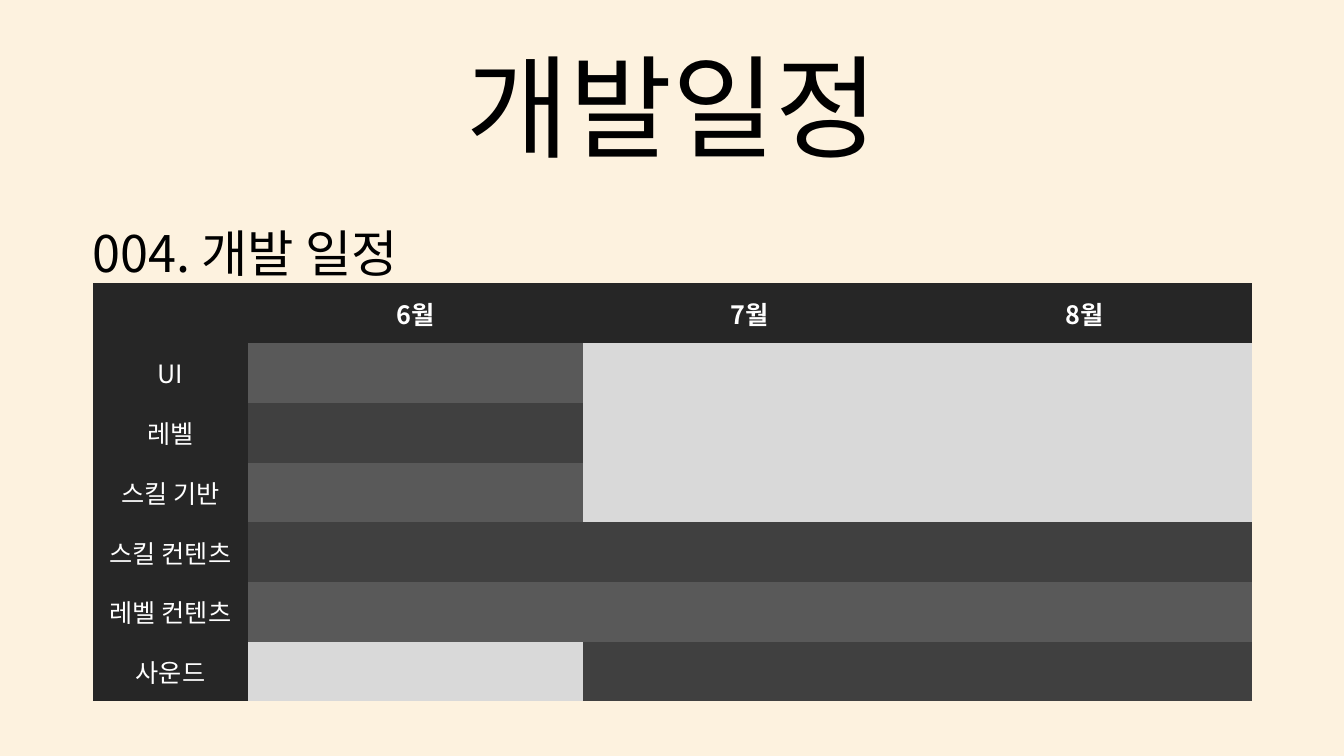
from dataclasses import dataclass

from lxml import etree
from pptx import Presentation
from pptx.dml.color import RGBColor
from pptx.enum.text import MSO_ANCHOR, MSO_AUTO_SIZE, PP_ALIGN
from pptx.oxml.ns import qn
from pptx.util import Cm, Pt

CENTER, LEFT = PP_ALIGN.CENTER, PP_ALIGN.LEFT
MIDDLE, TOP = MSO_ANCHOR.MIDDLE, MSO_ANCHOR.TOP
NO_AUTOFIT = MSO_AUTO_SIZE.NONE
PLAIN_TABLE_STYLE = "{2D5ABB26-0587-4C30-8999-92F81FD0307C}"

TITLE = "개발일정"
SECTION = "004. 개발 일정"
MONTHS = ["6월", "7월", "8월"]
# Task name, then whether work runs in each month
TASKS = [
    ("UI", (True, False, False)),
    ("레벨", (True, False, False)),
    ("스킬 기반", (True, False, False)),
    ("스킬 컨텐츠", (True, True, True)),
    ("레벨 컨텐츠", (True, True, True)),
    ("사운드", (False, True, True)),
]


@dataclass(frozen=True)
class Theme:
    font: str = "Noto Sans CJK SC"
    background: str = "FDF2DF"
    ink: str = "000000"
    label: str = "FFFFFF"
    header: str = "262626"
    idle: str = "D9D9D9"
    busy: tuple = ("595959", "404040")
    title_size: int = 80
    section_size: int = 36
    table_size: int = 18


THEME = Theme()
MARGIN, CONTENT_WIDTH = Cm(2.34), Cm(29.2)
TABLE_TOP, TABLE_HEIGHT = Cm(7.14), Cm(10.54)
TASK_WIDTH, MONTH_WIDTH = Cm(3.91), Cm(8.43)


def paint(fill, color):
    fill.solid()
    fill.fore_color.rgb = RGBColor.from_string(color)


def write(frame, text, size, color, align, spacing=1.0, bold=False):
    """Set one paragraph and use the theme font for Latin and Korean text."""
    frame.text = text
    para = frame.paragraphs[0]
    para.alignment = align
    para.line_spacing = spacing
    for span in para.runs:
        span.font.name = THEME.font
        span.font.size = Pt(size)
        span.font.bold = bold
        span.font.color.rgb = RGBColor.from_string(color)
        korean = etree.SubElement(span.font._element, qn("a:ea"))
        korean.set("typeface", THEME.font)


def add_title(page):
    title = page.shapes.title
    title.left, title.top = MARGIN, Cm(1.01)
    title.width, title.height = CONTENT_WIDTH, Cm(3.68)
    frame = title.text_frame
    frame.auto_size = NO_AUTOFIT
    frame.vertical_anchor = MIDDLE
    write(frame, TITLE, THEME.title_size, THEME.ink, CENTER, 0.9)


def add_section(page):
    box = page.shapes.add_textbox(Cm(2.08), Cm(4.7), Cm(29.72), Cm(4.17))
    frame = box.text_frame
    frame.word_wrap = True
    frame.vertical_anchor = TOP
    write(frame, SECTION, THEME.section_size, THEME.ink, LEFT, 1.5)


def add_schedule(page):
    rows, columns = len(TASKS) + 1, len(MONTHS) + 1
    frame = page.shapes.add_table(
        rows, columns, MARGIN, TABLE_TOP, CONTENT_WIDTH, TABLE_HEIGHT)
    table = frame.table
    table.first_row = table.horz_banding = False
    table._tbl.tblPr.find(qn("a:tableStyleId")).text = PLAIN_TABLE_STYLE
    for index, column in enumerate(table.columns):
        column.width = MONTH_WIDTH if index else TASK_WIDTH

    def set_label(row, column, text, bold=False):
        cell = table.cell(row, column)
        cell.vertical_anchor = MIDDLE
        paint(cell.fill, THEME.header)
        write(cell.text_frame, text, THEME.table_size, THEME.label, CENTER, bold=bold)

    for column, month in enumerate(["", *MONTHS]):
        set_label(0, column, month, bold=True)
    for row, (task, active_months) in enumerate(TASKS, start=1):
        set_label(row, 0, task)
        busy = THEME.busy[(row - 1) % len(THEME.busy)]
        for column, active in enumerate(active_months, start=1):
            paint(table.cell(row, column).fill, busy if active else THEME.idle)


def main():
    deck = Presentation()
    deck.slide_width, deck.slide_height = Cm(33.87), Cm(19.05)
    page = deck.slides.add_slide(deck.slide_layouts.get_by_name("Title Only"))
    paint(page.background.fill, THEME.background)
    add_title(page)
    add_section(page)
    add_schedule(page)
    deck.save("out.pptx")


if __name__ == "__main__":
    main()
